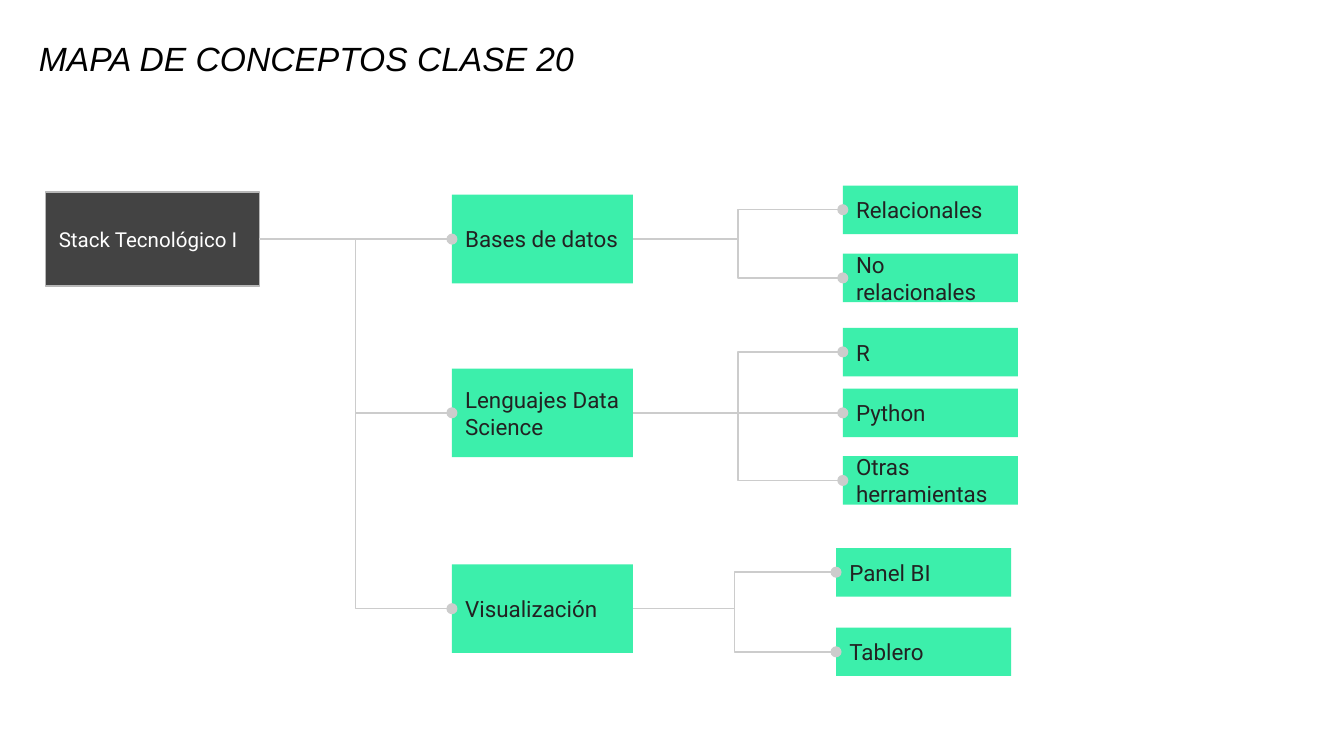
from dataclasses import dataclass

from lxml.etree import SubElement
from pptx import Presentation
from pptx.dml.color import RGBColor
from pptx.enum.shapes import MSO_CONNECTOR as Connector, MSO_SHAPE as Shape
from pptx.enum.text import MSO_ANCHOR as Anchor, MSO_AUTO_SIZE as AutoSize, PP_ALIGN as Align
from pptx.oxml.ns import qn
from pptx.util import Pt


@dataclass(frozen=True)
class Theme:
    title_font: str = "Arial"
    body_font: str = "Roboto"
    title_size: float = 18
    root_size: float = 11
    node_size: float = 12
    line_width: float = 0.75
    black: str = "000000"
    white: str = "FFFFFF"
    dark: str = "434343"
    border: str = "B7B7B7"
    green: str = "3CEFAB"
    ink: str = "222222"
    link: str = "CCCCCC"


@dataclass(frozen=True)
class Box:
    """An area of the slide, in points."""
    left: float
    top: float
    width: float
    height: float


THEME = Theme()
RIGHT_SITE, LEFT_SITE = 3, 1
INSET = 7.2

# Each branch: label, centre height, left edge of its details, (label, centre height) pairs;
# all measured from the corner of the map
BRANCHES = [
    ("Bases de datos", 28.7, 427.1, [("Relacionales", 13), ("No relacionales", 49.5)]),
    ("Lenguajes Data Science", 121.8, 427.1,
     [("R", 89.2), ("Python", 121.8), ("Otras herramientas", 158)]),
    ("Visualización", 226.7, 423.5, [("Panel BI", 207.2), ("Tablero", 249.8)]),
]


def place(shape, box):
    shape.left, shape.top = Pt(box.left), Pt(box.top)
    shape.width, shape.height = Pt(box.width), Pt(box.height)


def write(shape, text, font_name, size, color, anchor, italic=None):
    frame = shape.text_frame
    frame.text = text
    frame.word_wrap = True
    frame.auto_size = AutoSize.NONE
    frame.vertical_anchor = anchor
    frame.margin_left = frame.margin_right = Pt(INSET)
    frame.margin_top = frame.margin_bottom = Pt(INSET)
    paragraph = frame.paragraphs[0]
    paragraph.alignment = Align.LEFT
    font = paragraph.runs[0].font
    font.name, font.size, font.italic = font_name, Pt(size), italic
    font.color.rgb = RGBColor.from_string(color)


def draw_title(slide, box):
    title = slide.shapes.title
    place(title, box)
    write(title, "MAPA DE CONCEPTOS CLASE 20", THEME.title_font, THEME.title_size,
          THEME.black, Anchor.BOTTOM, italic=True)


def draw_node(slide, box, text, fill=THEME.green, color=THEME.ink,
              size=THEME.node_size, border=None):
    node = slide.shapes.add_shape(Shape.RECTANGLE, 0, 0, 0, 0)
    place(node, box)
    node.shadow.inherit = False
    node.fill.solid()
    node.fill.fore_color.rgb = RGBColor.from_string(fill)
    if border:
        node.line.color.rgb = RGBColor.from_string(border)
        node.line.width = Pt(THEME.line_width)
    else:
        node.line.fill.background()
    write(node, text, THEME.body_font, size, color, Anchor.MIDDLE)
    return node


def link(slide, parent, child):
    connector = slide.shapes.add_connector(Connector.ELBOW, 0, 0, 0, 0)
    connector.begin_connect(parent, RIGHT_SITE)
    connector.end_connect(child, LEFT_SITE)
    connector.line.color.rgb = RGBColor.from_string(THEME.link)
    connector.line.width = Pt(THEME.line_width)
    # Round end, no shadow
    properties = connector.element.spPr
    SubElement(properties.find(qn("a:ln")), qn("a:tailEnd"), type="oval")
    SubElement(properties, qn("a:effectLst"))


def draw_branch(slide, box, root, branch):
    label, center, detail_left, details = branch
    topic = draw_node(slide, Box(box.left + 217.7, box.top + center - 23.75, 97, 47.5), label)
    link(slide, root, topic)
    for detail_label, detail_center in details:
        detail_box = Box(box.left + detail_left, box.top + detail_center - 13, 93.8, 26)
        link(slide, topic, draw_node(slide, detail_box, detail_label))


def draw_concept_map(slide, box):
    root = draw_node(slide, Box(box.left, box.top + 3.5, 114.5, 50.4), "Stack Tecnológico I",
                     THEME.dark, THEME.white, THEME.root_size, THEME.border)
    for branch in BRANCHES:
        draw_branch(slide, box, root, branch)


def main():
    presentation = Presentation()
    presentation.slide_width, presentation.slide_height = Pt(720), Pt(405)
    title_only = presentation.slide_layouts[5]
    slide = presentation.slides.add_slide(title_only)
    draw_title(slide, Box(13.7, 15.8, 594.7, 33.1))
    draw_concept_map(slide, Box(24.4, 99.4, 520.9, 262.8))
    presentation.save("out.pptx")


if __name__ == "__main__":
    main()
